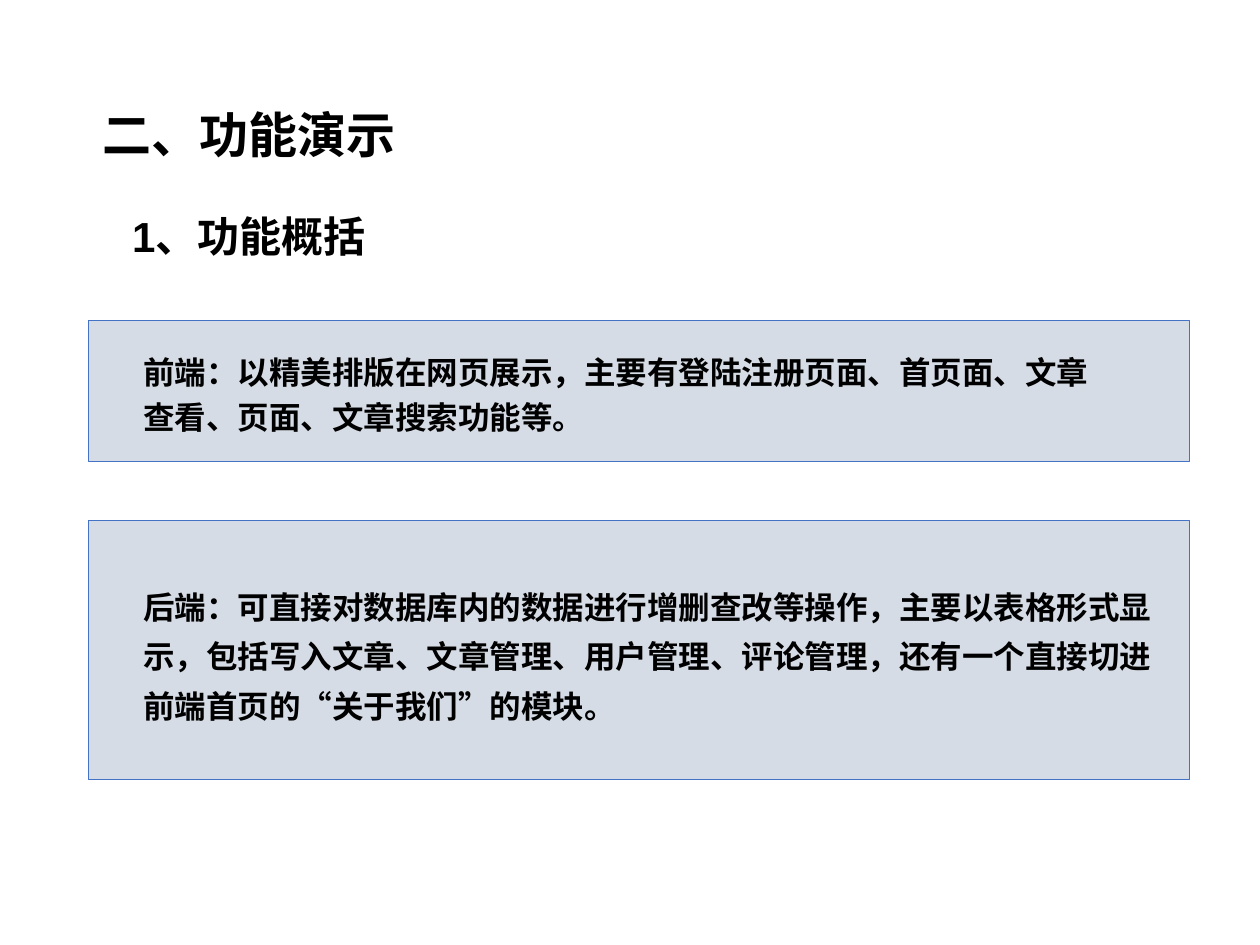
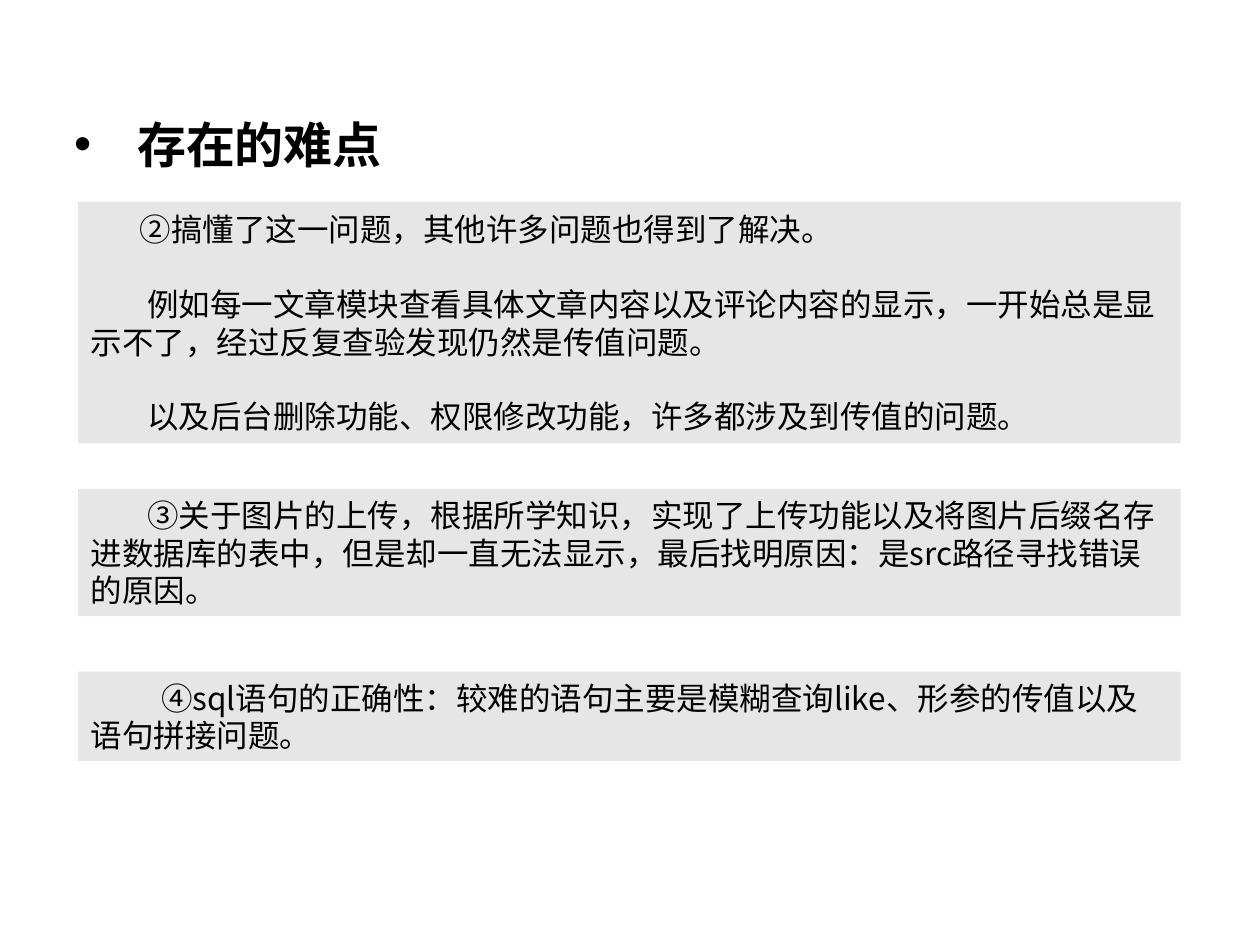
from lxml.etree import SubElement
from pptx import Presentation
from pptx.dml.color import RGBColor
from pptx.enum.shapes import MSO_SHAPE as Shape
from pptx.enum.text import MSO_ANCHOR as Anchor, PP_ALIGN as Align
from pptx.oxml.ns import qn
from pptx.util import Inches, Pt

# Slide grid: 100 columns by 75 rows
WIDTH, HEIGHT = Inches(10), Inches(7.5)
COL, ROW = WIDTH / 100, HEIGHT / 75

# Shared style
INK, PANEL_FILL, PANEL_EDGE, NOTE_FILL = "000000", "D6DCE5", "4472C4", "E7E6E6"
LATIN, HAN = "Arial", "Noto Sans CJK SC"
TITLE, SUBTITLE, BODY = 28, 24, 18
LINE = 1.2  # line height per point of text

# Slide 1: panel top, panel rows, text top, text columns, text rows, spacing, text
PANELS = [
    (25.4, 11.2, 26.9, 79.2, 8.3, 1.2,
     "前端：以精美排版在网页展示，主要有登陆注册页面、首页面、文章查看、页面、文章搜索功能等。"),
    (41.3, 20.6, 45.3, 82.1, 12.8, 1.3,
     "后端：可直接对数据库内的数据进行增删查改等操作，主要以表格形式显示，包括写入文章、文章管理、"
     "用户管理、评论管理，还有一个直接切进前端首页的“关于我们”的模块。"),
]

# Slide 2: top, rows, paragraphs as (first-line indent in columns, text)
NOTES = [
    (16, 19.2, [
        (3.9, "②搞懂了这一问题，其他许多问题也得到了解决。"),
        (4.5, "例如每一文章模块查看具体文章内容以及评论内容的显示，一开始总是显示不了，"
              "经过反复查验发现仍然是传值问题。"),
        (4.5, "以及后台删除功能、权限修改功能，许多都涉及到传值的问题。")]),
    (38.8, 10.1, [
        (4.5, "③关于图片的上传，根据所学知识，实现了上传功能以及将图片后缀名存进数据库的表中，"
              "但是却一直无法显示，最后找明原因：是src路径寻找错误的原因。")]),
    (53.3, 7.1, [
        (5.6, "④sql语句的正确性：较难的语句主要是模糊查询like、形参的传值以及语句拼接问题。")]),
]


def color(hex_value):
    return RGBColor.from_string(hex_value)


def area(left, top, cols, rows):
    return [round(v) for v in (left * COL, top * ROW, cols * COL, rows * ROW)]


def add_panel(slide, place, fill, edge=None):
    panel = slide.shapes.add_shape(Shape.RECTANGLE, *area(*place))
    panel.shadow.inherit = False
    panel.fill.solid()
    panel.fill.fore_color.rgb = color(fill)
    if edge:
        panel.line.color.rgb = color(edge)
        panel.line.width = Pt(0.5)
    else:
        panel.line.fill.background()
    return panel


def add_frame(slide, place):
    frame = slide.shapes.add_textbox(*area(*place)).text_frame
    frame.word_wrap = True
    return frame


def write(paragraph, text, size, bold=False, latin=LATIN, spacing=1.0, align=Align.LEFT):
    paragraph.alignment = align
    paragraph.line_spacing = Pt(round(size * LINE * spacing, 1))
    run = paragraph.add_run()
    run.text = text
    font = run.font
    font.size, font.bold, font.name = Pt(size), bold, latin
    font.color.rgb = color(INK)
    SubElement(font._element, qn("a:ea"), typeface=HAN)


def indent(paragraph, first_line, margin=0, bullet=None):
    props = paragraph._p.get_or_add_pPr()
    props.set("marL", str(round(margin * COL)))
    props.set("indent", str(round(first_line * COL)))
    if bullet:
        SubElement(props, qn("a:buFont"), typeface=LATIN)
        SubElement(props, qn("a:buChar"), char=bullet)


def add_heading(slide, place, text, size, bullet=None):
    frame = add_frame(slide, place)
    frame.word_wrap = bullet is None
    heading = frame.paragraphs[0]
    if bullet:
        indent(heading, -5, margin=5, bullet=bullet)
    write(heading, text, size, bold=True, align=Align.LEFT if bullet else Align.CENTER)


def add_note(slide, top, rows, paragraphs):
    frame = add_panel(slide, (6.2, top, 87.5, rows), NOTE_FILL).text_frame
    frame.word_wrap = True
    frame.vertical_anchor = Anchor.MIDDLE
    for i, (first_line, text) in enumerate(paragraphs):
        paragraph = frame.add_paragraph() if i else frame.paragraphs[0]
        indent(paragraph, first_line)
        if i:
            paragraph.space_before = Pt(21)
        write(paragraph, text, BODY, latin=HAN)


def build_overview(slide):
    for top, rows, text_top, text_cols, text_rows, spacing, text in PANELS:
        add_panel(slide, (7, top, 87.4, rows), PANEL_FILL, PANEL_EDGE)
        frame = add_frame(slide, (10.4, text_top, text_cols, text_rows))
        write(frame.paragraphs[0], text, BODY, bold=True, spacing=spacing)
    add_heading(slide, (7, 7.8, 25.5, 5.7), "二、功能演示", TITLE)
    add_heading(slide, (7, 16.2, 25.5, 5), "1、功能概括", SUBTITLE)


def build_difficulties(slide):
    for note in NOTES:
        add_note(slide, *note)
    add_heading(slide, (4.9, 8.6, 26.5, 5.7), "存在的难点", TITLE, bullet="•")


def main():
    deck = Presentation()
    deck.slide_width, deck.slide_height = WIDTH, HEIGHT
    blank = deck.slide_layouts[6]
    for build in (build_overview, build_difficulties):
        build(deck.slides.add_slide(blank))
    deck.save("out.pptx")


if __name__ == "__main__":
    main()
